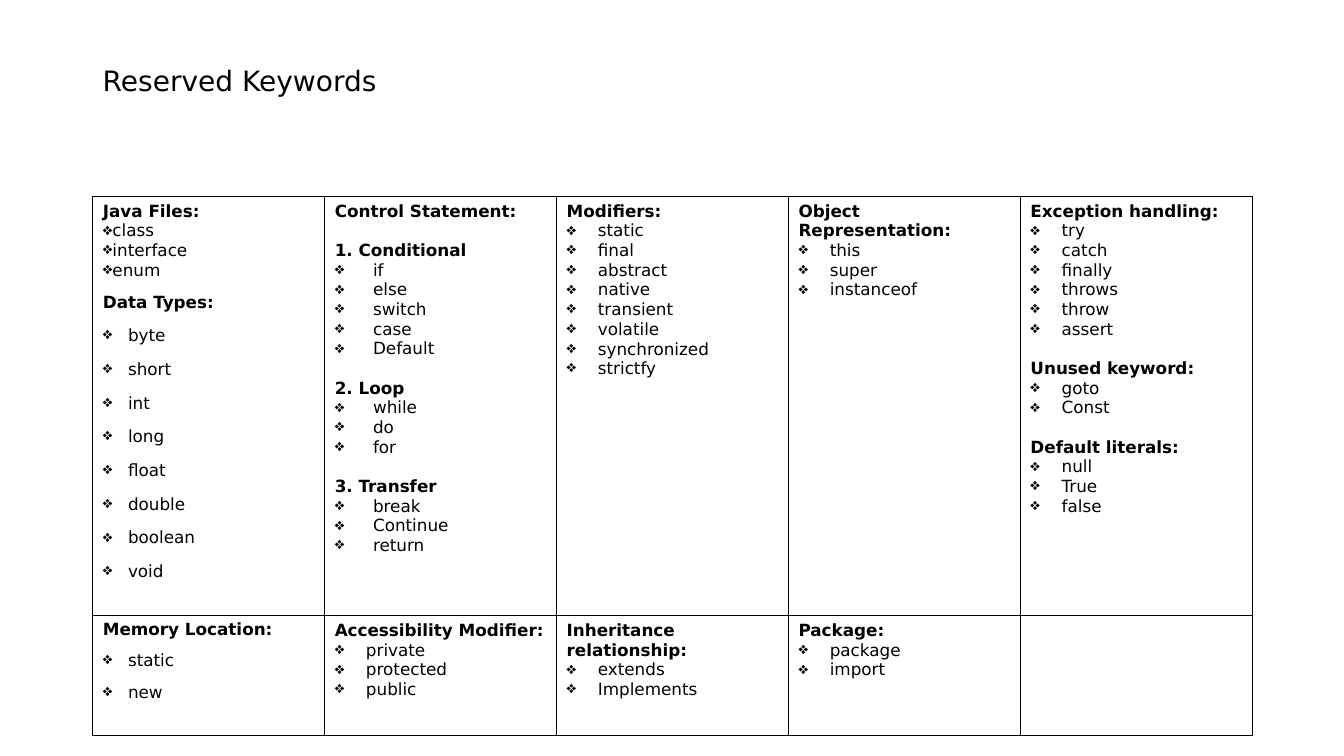
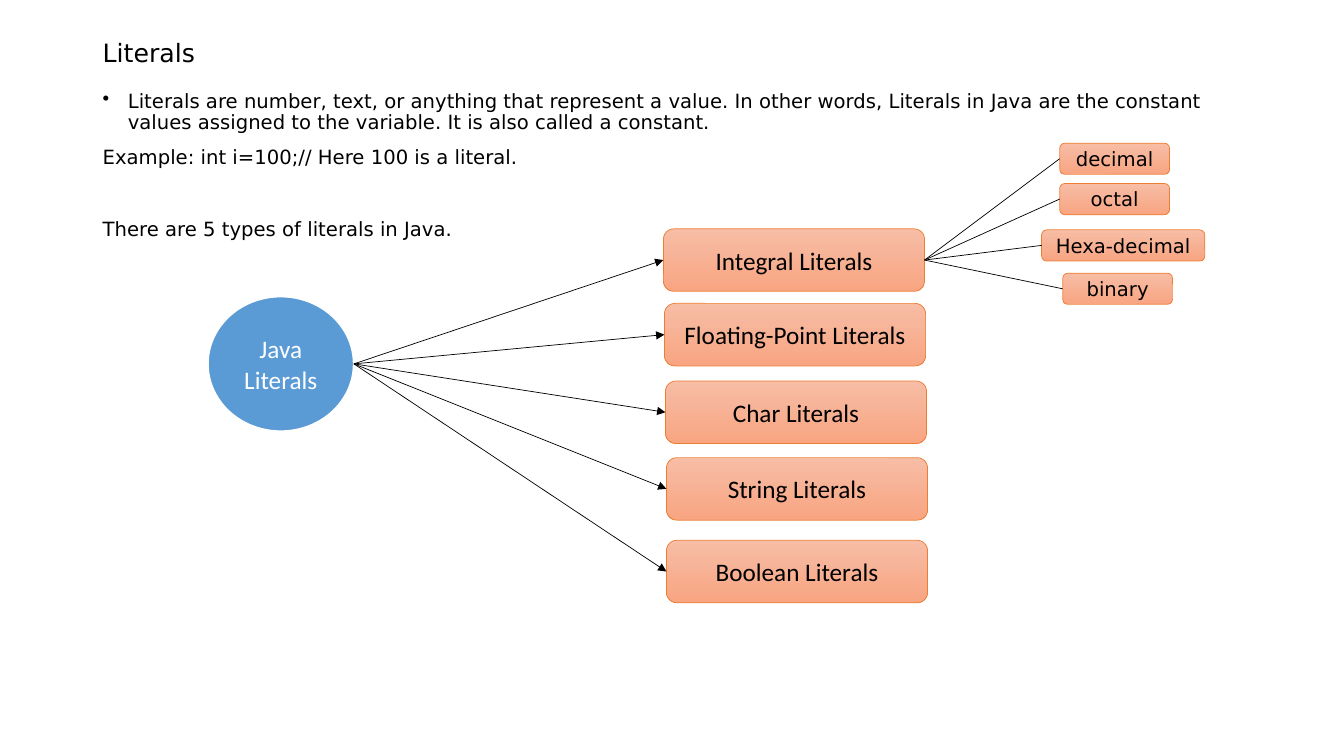
from pptx import Presentation, util as u
from pptx.dml.color import RGBColor
from pptx.enum import shapes, text
from pptx.oxml import parse_xml
from pptx.oxml.ns import nsdecls, qn
from lxml import etree

COLORS = {"ink": "000000", "white": "FFFFFF", "blue": "5B9BD5",
          "orange": "ED7D31", "peach": "F7BDA5", "salmon": "F8A582"}
SANS, BODY = "DejaVu Sans", "Calibri"
LEFT, WIDTH = 0.92, 11.5
DIAMOND = "\u2756"


def rgb(name):
    return RGBColor.from_string(COLORS[name])


def write(tf, content, size=12, font=SANS, color="ink", bold=False, align=None,
          before=0, spacing=1.0, bullet=None, indent=0):
    p = tf.paragraphs[0] if not tf.paragraphs[0].runs else tf.add_paragraph()
    p.alignment = align
    p.space_before = u.Pt(before)
    p.line_spacing = spacing
    if bullet:
        pPr = p._p.get_or_add_pPr()
        pPr.set("marL", str(u.Inches(indent)))
        pPr.set("indent", str(-u.Inches(indent)))
        etree.SubElement(pPr, qn("a:buChar")).set("char", bullet)
    r = p.add_run()
    r.text = content
    r.font.size = u.Pt(size)
    r.font.name = font
    r.font.bold = bold
    r.font.color.rgb = rgb(color)


class Deck:
    """Holds the shared style and the current slide."""

    def __init__(self):
        self.prs = Presentation()
        self.prs.slide_width = u.Inches(13.33)
        self.prs.slide_height = u.Inches(7.5)

    def slide(self, title, size, height):
        self.s = self.prs.slides.add_slide(self.prs.slide_layouts[6])
        tf = self.textbox(0.4, height)
        tf.vertical_anchor = text.MSO_ANCHOR.MIDDLE
        write(tf, title, size=size, spacing=0.9)

    def textbox(self, top, height):
        sp = self.s.shapes.add_textbox(*map(u.Inches, (LEFT, top, WIDTH, height)))
        sp.text_frame.word_wrap = True
        return sp.text_frame

    def shape(self, kind, box, label, line, line_width, **fmt):
        sp = self.s.shapes.add_shape(kind, *map(u.Inches, box))
        sp.shadow.inherit = False
        sp.line.color.rgb = rgb(line)
        sp.line.width = u.Pt(line_width)
        tf = sp.text_frame
        tf.word_wrap = True
        tf.vertical_anchor = text.MSO_ANCHOR.MIDDLE
        write(tf, label, align=text.PP_ALIGN.CENTER, **fmt)
        return sp

    def circle(self, box, label):
        sp = self.shape(shapes.MSO_SHAPE.OVAL, box, label, "white", 1.5,
                        size=18, font=BODY, color="white")
        sp.fill.solid()
        sp.fill.fore_color.rgb = rgb("blue")
        return sp

    def pill(self, box, label, **fmt):
        sp = self.shape(shapes.MSO_SHAPE.ROUNDED_RECTANGLE, box, label,
                        "orange", 0.5, **fmt)
        sp.fill.gradient()
        sp.fill.gradient_angle = 270
        for stop, position, color in zip(sp.fill.gradient_stops, (0, 1),
                                         ("peach", "salmon")):
            stop.position = position
            stop.color.rgb = rgb(color)
        return sp

    def link(self, a, b, arrow=False):
        c = self.s.shapes.add_connector(
            shapes.MSO_CONNECTOR.STRAIGHT, a.left + a.width,
            a.top + a.height // 2, b.left, b.top + b.height // 2)
        if a.auto_shape_type == shapes.MSO_SHAPE.ROUNDED_RECTANGLE:
            c.begin_connect(a, 3)
        c.end_connect(b, 1)
        c.line.color.rgb = rgb("ink")
        c.line.width = u.Pt(0.5)
        spPr = c._element.spPr
        if arrow:
            tail = etree.SubElement(spPr.find(qn("a:ln")), qn("a:tailEnd"))
            tail.set("type", "triangle")
        etree.SubElement(spPr, qn("a:effectLst"))

    def table(self, top, heights, rows):
        cols = len(rows[0])
        tbl = self.s.shapes.add_table(
            len(rows), cols,
            *map(u.Inches, (LEFT, top, WIDTH, sum(heights)))).table
        tbl.first_row = tbl.horz_banding = False
        for i, (height, row) in enumerate(zip(heights, rows)):
            tbl.rows[i].height = u.Inches(height)
            for j, groups in enumerate(row):
                cell = tbl.cell(i, j)
                cell.fill.background()
                self.borders(cell)
                for n, group in enumerate(groups):
                    self.keywords(cell.text_frame, n == 0, *group)

    def borders(self, cell):
        tcPr = cell._tc.get_or_add_tcPr()
        for n, side in enumerate("LRTB"):
            tcPr.insert(n, parse_xml(
                f'<a:ln{side} {nsdecls("a")} w="{u.Pt(1)}"><a:solidFill>'
                f'<a:srgbClr val="{COLORS["ink"]}"/></a:solidFill></a:ln{side}>'))

    def keywords(self, tf, first, heading, words="", indent=0.31, gap=0, spacing=1.0):
        write(tf, heading, bold=True, before=0 if first else gap or 14,
              spacing=0.9 if gap else 1.0)
        for word in words.split():
            write(tf, word, bullet=DIAMOND, indent=indent, before=gap, spacing=spacing)


deck = Deck()

deck.slide("Reserved Keywords", 20, 0.84)
deck.table(1.95, (4.16, 1.19), [
    [
        [("Java Files:", "class interface enum", 0),
         ("Data Types:", "byte short int long float double boolean void", 0.25, 10)],
        [("Control Statement:",),
         ("1. Conditional", "if else switch case Default", 0.38),
         ("2. Loop", "while do for", 0.38),
         ("3. Transfer", "break Continue return", 0.38)],
        [("Modifiers:", "static final abstract native transient volatile "
                        "synchronized strictfy")],
        [("Object Representation:", "this super instanceof")],
        [("Exception handling:", "try catch finally throws throw assert"),
         ("Unused keyword:", "goto Const"),
         ("Default literals:", "null True false")],
    ],
    [
        [("Memory Location:", "static new", 0.25, 10, 0.9)],
        [("Accessibility Modifier:", "private protected public")],
        [("Inheritance relationship:", "extends Implements")],
        [("Package:", "package import")],
        [],
    ],
])

deck.slide("Literals", 18, 0.28)
tf = deck.textbox(0.86, 5.9)
write(tf, "Literals are number, text, or anything that represent a value. In other "
      "words, Literals in Java are the constant values assigned to the variable. "
      "It is also called a constant.",
      size=14, before=10, spacing=0.9, bullet="\u2022", indent=0.25)
write(tf, "Example: int i=100;// Here 100 is a literal.",
      size=14, before=10, spacing=0.9)
write(tf, "There are 5 types of literals in Java.",
      size=14, before=36, spacing=0.9)

root = deck.circle((2.06, 2.94, 1.45, 1.34), "Java Literals")
kinds = [deck.pill((left, top, 2.59, 0.62), f"{name} Literals", size=18, font=BODY)
         for name, left, top in (("Integral", 6.58, 2.27),
                                 ("Floating-Point", 6.59, 3.01),
                                 ("Char", 6.6, 3.78),
                                 ("String", 6.61, 4.54),
                                 ("Boolean", 6.61, 5.36))]
for kind in kinds:
    deck.link(root, kind, arrow=True)
for base, left, top, width in (("decimal", 10.51, 1.42, 1.09),
                               ("octal", 10.51, 1.82, 1.09),
                               ("Hexa-decimal", 10.33, 2.28, 1.62),
                               ("binary", 10.54, 2.71, 1.09)):
    deck.link(kinds[0], deck.pill((left, top, width, 0.31), base, size=14))

deck.prs.save("out.pptx")
